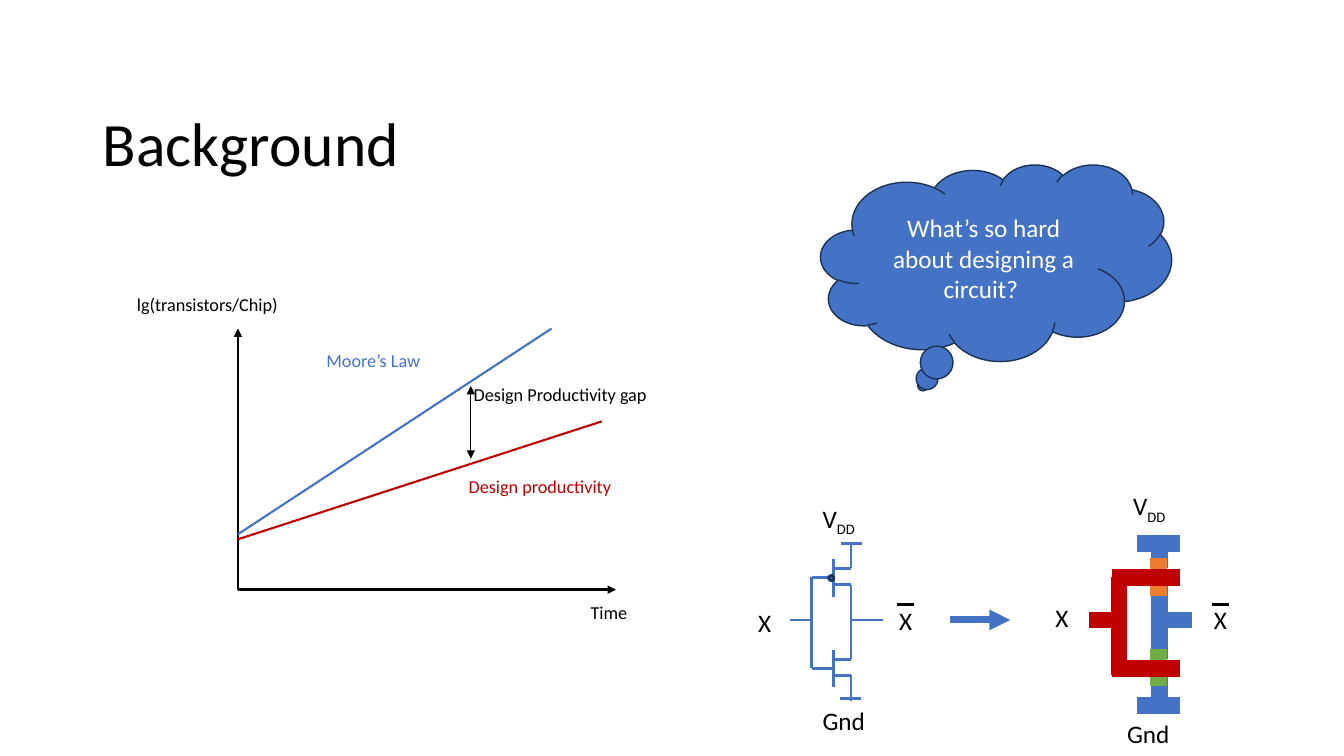
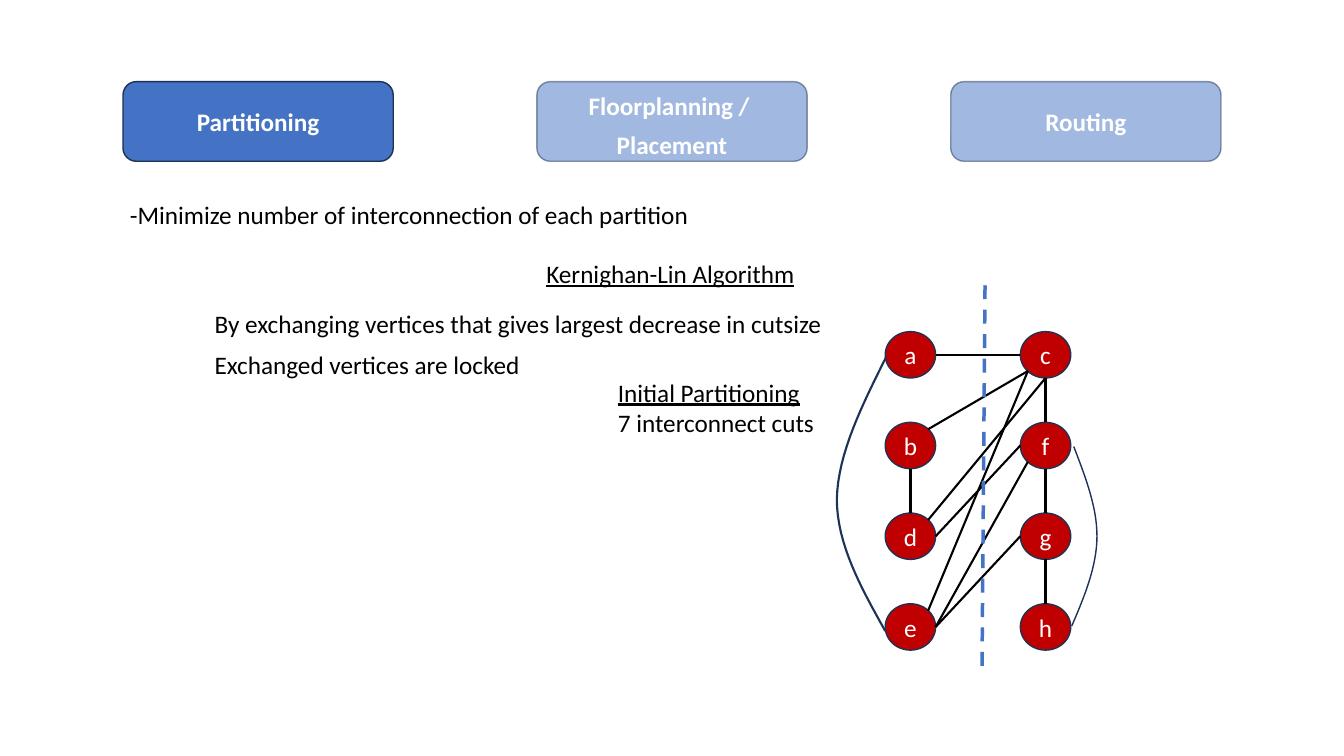
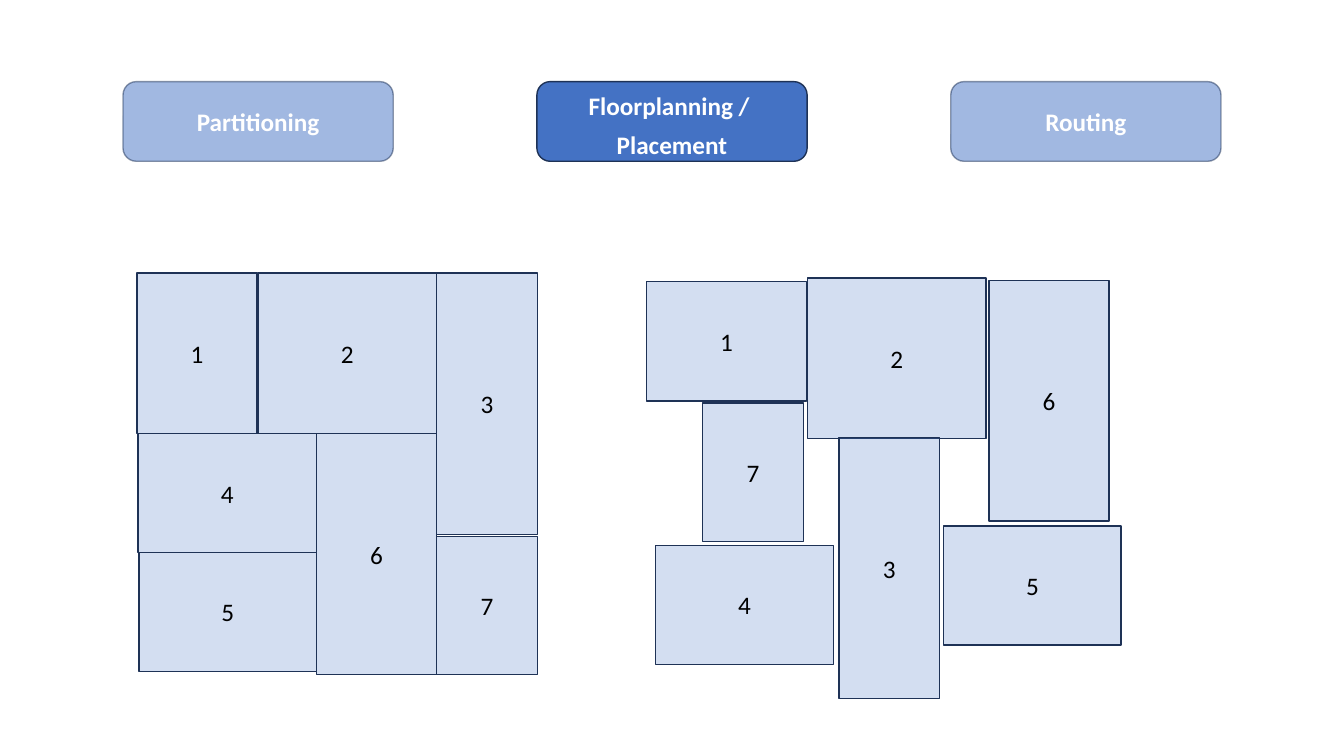
from dataclasses import dataclass

from lxml.etree import SubElement
from pptx import Presentation
from pptx.dml.color import RGBColor
from pptx.enum.dml import MSO_LINE
from pptx.enum.shapes import MSO_CONNECTOR, MSO_SHAPE
from pptx.enum.text import MSO_ANCHOR, MSO_AUTO_SIZE, PP_ALIGN
from pptx.oxml.ns import qn
from pptx.util import Inches, Pt

CELL = Inches(0.1)  # side of one grid column or row
TITLE_ONLY, BLANK = 5, 6


@dataclass(frozen=True)
class Theme:
    font: str = "Calibri"
    ink: str = "000000"
    paper: str = "FFFFFF"
    blue: str = "4472C4"
    navy: str = "1E3256"
    red: str = "C00000"
    orange: str = "ED7D31"
    green: str = "70AD47"
    title: int = 44
    body: int = 18
    small: int = 13


T = Theme()


def cells(*counts):
    return [round(n * CELL) for n in counts]


def paint(fill, color, opacity=100):
    fill.solid()
    fill.fore_color.rgb = RGBColor.from_string(color)
    if opacity < 100:
        clr = fill._xPr.find(".//" + qn("a:srgbClr"))
        SubElement(clr, qn("a:alpha")).set("val", str(opacity * 1000))


class Deck:
    """Holds the presentation and draws on its current slide, in grid cells."""

    def __init__(self):
        self.prs = Presentation()
        self.prs.slide_width, self.prs.slide_height = Inches(13.33), Inches(7.5)
        self.s = None

    def slide(self, title=None):
        layout = self.prs.slide_layouts[BLANK if title is None else TITLE_ONLY]
        self.s = self.prs.slides.add_slide(layout)
        if title is None:
            return
        sp = self.s.shapes.title
        sp.left, sp.top, sp.width, sp.height = cells(9.2, 7.3, 115, 14.5)
        self.set_text(sp, title, T.title, align=PP_ALIGN.LEFT)
        sp.text_frame.paragraphs[0].line_spacing = 0.9

    def set_text(self, sp, text, size=T.body, color=T.ink, bold=False,
                 align=PP_ALIGN.CENTER, anchor=MSO_ANCHOR.MIDDLE, after=0):
        tf = sp.text_frame
        tf.text = text
        tf.vertical_anchor = anchor
        for p in tf.paragraphs:
            p.alignment = align
            p.space_after = Pt(after)
            for r in p.runs:
                self.style(r, size, color, bold)

    def style(self, r, size, color, bold=False):
        r.font.name, r.font.size, r.font.bold = T.font, Pt(size), bold
        r.font.color.rgb = RGBColor.from_string(color)

    def label(self, x, y, w, text, size=T.body, color=T.ink, wrap=False,
              underline=False, subscript=""):
        """Text box as tall as its lines; underline marks the first one."""
        h = 1 + (text.count("\n") + 1) * size / 6
        sp = self.s.shapes.add_textbox(*cells(x, y, w, h))
        self.set_text(sp, text, size, color, align=PP_ALIGN.LEFT, anchor=MSO_ANCHOR.TOP)
        tf = sp.text_frame
        tf.word_wrap, tf.auto_size = wrap, MSO_AUTO_SIZE.SHAPE_TO_FIT_TEXT
        p = tf.paragraphs[0]
        if underline:
            p.runs[0].font.underline = True
        if subscript:
            r = p.add_run()
            r.text = subscript
            self.style(r, size, color)
            r._r.get_or_add_rPr().set("baseline", "-25000")

    def shape(self, kind, x, y, w, h, fill, text="", color=T.paper, opacity=100,
              line_opacity=100, weight=1, **style):
        sp = self.s.shapes.add_shape(kind, *cells(x, y, w, h))
        sp.shadow.inherit = False
        paint(sp.fill, fill, opacity)
        paint(sp.line.fill, T.navy, line_opacity)
        sp.line.width = Pt(weight)
        if text:
            self.set_text(sp, text, color=color, **style)

    def line(self, x1, y1, x2, y2, color=T.ink, weight=1.5, head=False,
             tail=False, dash=None):
        c = self.s.shapes.add_connector(MSO_CONNECTOR.STRAIGHT, *cells(x1, y1, x2, y2))
        paint(c.line.fill, color)
        c.line.width = Pt(weight)
        if dash:
            c.line.dash_style = dash
        for wanted, tag in ((head, "a:headEnd"), (tail, "a:tailEnd")):
            if wanted:
                SubElement(c.line._get_or_add_ln(), qn(tag)).set("type", "triangle")
        SubElement(c._element.spPr, qn("a:effectLst"))

    def lines(self, color, weight, *ends):
        for end in ends:
            self.line(*end, color, weight)

    def curve(self, weight, *points, steps=16):
        """Cubic Bezier pieces; every piece after the first reuses the last end."""
        trace = []
        for i in range(0, len(points) - 1, 3):
            a, b, c, d = points[i:i + 4]
            for k in range(steps + 1):
                t = k / steps
                u = 1 - t
                trace.append(cells(*(u**3 * p + 3 * u * u * t * q + 3 * u * t * t * r + t**3 * v
                                     for p, q, r, v in zip(a, b, c, d))))
        pen = self.s.shapes.build_freeform(*trace[0])
        pen.add_line_segments(trace[1:], close=False)
        sp = pen.convert_to_shape()
        sp.shadow.inherit = False
        sp.fill.background()
        paint(sp.line.fill, T.navy)
        sp.line.width = Pt(weight)

    def stages(self, active):
        names = ("Partitioning", "Floorplanning / \nPlacement", "Routing")
        for i, name in enumerate(names):
            opacity = 100 if i == active else 50
            anchor = MSO_ANCHOR.TOP if "\n" in name else MSO_ANCHOR.MIDDLE
            self.shape(MSO_SHAPE.ROUNDED_RECTANGLE, 12.2 + 41.05 * i, 8.1, 26.8, 7.9,
                       T.blue, name, opacity=opacity, line_opacity=opacity,
                       bold=True, anchor=anchor, after=6)


def productivity_plot(d):
    x, y = 23.6, 58.5
    d.line(x, y, x, 32.6, weight=1.75, tail=True)
    d.line(x, y, 61.1, y, weight=1.75, tail=True)
    d.line(x, 53, 54.7, 32.6, T.blue)
    d.line(x, 53.5, 59.7, 41.8, T.red)
    d.line(46.7, 38.3, 46.7, 45.5, weight=0.5, head=True, tail=True)
    d.label(12.6, 28.6, 22, "lg(transistors/Chip)", T.small, wrap=True)
    d.label(57.6, 59.2, 5.7, "Time", T.small)
    d.label(46, 37.5, 19.5, "Design Productivity gap", T.small)
    d.label(31.4, 34.2, 11.4, "Moore’s Law", T.small, T.blue)
    d.label(45.5, 46.7, 16.4, "Design productivity", T.small, T.red)


GATES = (55.5, 64.5)  # top of the upper and of the lower transistor


def drains(d, x, weight):
    """Vertical runs between the rails, and the output lead."""
    d.lines(T.blue, weight, (x, 53.9, x, 56.4), (x, 58, x, 65.4), (x, 67, x, 69.5),
            (x, 61.5, x + 3.2, 61.5))


def inverter_schematic(d):
    x, plate, bus = 84.4, 82.7, 80.5
    drains(d, x, 2)
    for y in GATES:
        d.lines(T.blue, 2, (x, y + 0.9, plate, y + 0.9), (x, y + 2.5, plate, y + 2.5),
                (plate, y, plate, y + 3.7), (plate, y + 1.8, bus, y + 1.8))
    d.shape(MSO_SHAPE.OVAL, 82.2, 57.1, 0.5, 0.5, T.blue, weight=2)
    d.lines(T.blue, 2, (bus, 57.2, bus, 66.3), (bus, 61.5, 78.4, 61.5),
            (85.5, 53.9, 83.4, 53.9), (85.4, 69.3, 83.3, 69.3))


def inverter_layout(d):
    x, bus, wide = 115, 111, 11.75
    drains(d, x, wide)
    d.lines(T.blue, 2, *((x, y + 2.5, x - 1.7, y + 2.5) for y in GATES))
    d.lines(T.red, wide, (bus, 57.2, bus, 67), (bus, 61.5, 108, 61.5))
    d.lines(T.blue, wide, *((117, y, 112.8, y) for y in (53.9, 70)))
    for y, diffusion in zip(GATES, (T.orange, T.green)):
        d.line(114.9, y - 0.1, 114.9, y + 3.6, diffusion, wide)
        d.line(117, y + 1.8, 110.3, y + 1.8, T.red, wide)


def background(d):
    d.slide("Background")
    productivity_plot(d)
    d.shape(MSO_SHAPE.CLOUD_CALLOUT, 81.4, 16.3, 34.8, 19.5, T.blue,
            "What’s so hard about designing a circuit? ")
    inverter_schematic(d)
    inverter_layout(d)
    for x, y in ((80.6, 49.4), (111.4, 48.2)):
        d.label(x, y, 5.5, "V", subscript="DD")
    for x, y in ((80.6, 69.5), (110.8, 70.8)):
        d.label(x, y, 6.3, "Gnd")
    for x, y in ((74.2, 59.8), (88.2, 59.6), (103.7, 59.3), (119.4, 59.5)):
        d.label(x, y, 3.3, "X")
    d.lines(T.ink, 2, (89, 60, 90.7, 60), (120.2, 60, 121.9, 60))
    d.line(94.2, 61.5, 100.2, 61.5, T.blue, 5, tail=True)


def partitioning(d):
    d.slide()
    d.stages(active=0)
    w, h = 5, 4.6
    nodes = {name: (x, 32.9 + 9 * row)
             for x, names in ((87.8, "abde"), (101.2, "cfgh"))
             for row, name in enumerate(names)}
    for name, (x, y) in nodes.items():
        d.shape(MSO_SHAPE.OVAL, x, y, w, h, T.red, name)
    d.label(11.9, 19.3, 58.1, "-Minimize number of interconnection of each partition")
    d.label(53.2, 25.1, 26.9, "Kernighan-Lin Algorithm", underline=True)

    # Points on an ellipse, as shares of its width and height
    sides = {"N": (0.5, 0), "S": (0.5, 1), "W": (0, 0.5), "E": (1, 0.5),
             "NE": (0.85, 0.15), "SW": (0.15, 0.85)}

    def port(name, side):
        (x, y), (fx, fy) = nodes[name], sides[side]
        return x + fx * w, y + fy * h

    edges = ("b S d N", "c SW b NE", "a E c W", "c S d NE", "f W d E", "c S f N",
             "f S g N", "g S h N", "c SW e NE", "f SW e E", "g W e E")
    for edge in edges:
        a, a_side, b, b_side = edge.split()
        d.line(*port(a, a_side), *port(b, b_side))
    d.curve(1.5, (87.9, 35.4), (85.5, 40.2), (83.1, 45), (83, 49.5),
            (83, 54), (85.4, 58.3), (87.8, 62.6))
    d.curve(1, (106.3, 62.1), (107.6, 59.1), (108.8, 56.1), (108.8, 53.2),
            (108.8, 50.2), (107.6, 47.2), (106.5, 44.3))
    d.line(97.7, 28.3, 97.4, 66.1, T.blue, 2.5, dash=MSO_LINE.DASH)
    d.label(20.3, 30.1, 62.9, "By exchanging vertices that gives largest decrease in cutsize")
    d.label(60.3, 36.9, 21.7, "Initial Partitioning\n7 interconnect cuts", underline=True)
    d.label(20.3, 34.2, 32.7, "Exchanged vertices are locked")


def floorplanning(d):
    d.slide()
    d.stages(active=1)
    sizes = {1: (11.9, 15.9), 2: (17.7, 15.9), 3: (10, 25.9), 4: (17.7, 11.8),
             5: (17.6, 11.8), 6: (11.9, 23.9), 7: (10, 13.7)}
    packed = {1: (13.6, 27.1), 2: (25.6, 27.1), 3: (43.3, 27.1), 7: (43.3, 53.2),
              6: (31.4, 43), 4: (13.7, 43), 5: (13.8, 54.8)}
    loose = {2: (80.1, 27.6), 3: (83.2, 43.4), 7: (69.7, 40), 6: (98.1, 27.8),
             4: (65, 54.1), 5: (93.6, 52.2), 1: (64.1, 27.9)}
    for plan, turned in ((packed, ()), (loose, (1,))):
        for block, (x, y) in plan.items():
            w, h = sizes[block][::-1] if block in turned else sizes[block]
            d.shape(MSO_SHAPE.RECTANGLE, x, y, w, h, T.blue, str(block), T.ink, opacity=23)


def main():
    d = Deck()
    background(d)
    partitioning(d)
    floorplanning(d)
    d.prs.save("out.pptx")


if __name__ == "__main__":
    main()
